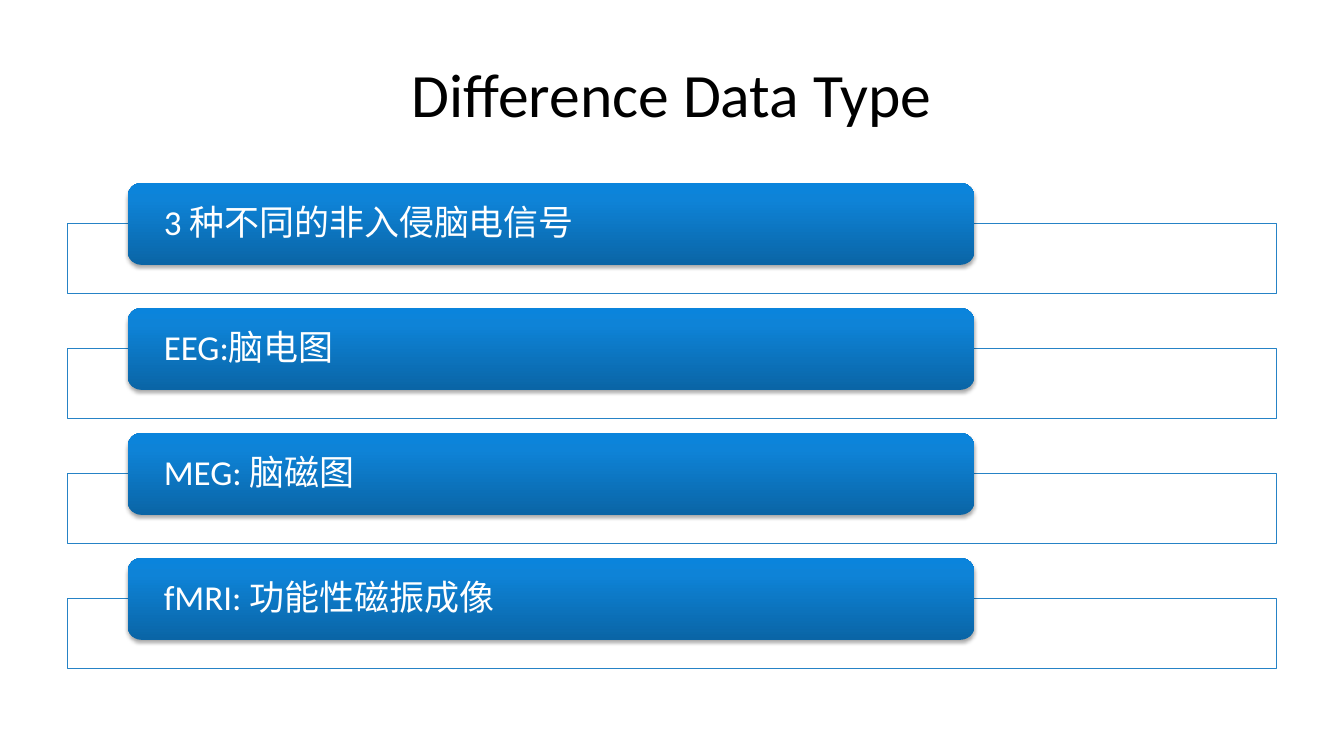
from pptx import Presentation
from pptx.dml.color import RGBColor
from pptx.enum.shapes import MSO_SHAPE
from pptx.enum.text import MSO_ANCHOR, PP_ALIGN
from pptx.oxml import parse_xml
from pptx.oxml.ns import nsdecls
from pptx.util import Pt

TITLE = "Difference Data Type"
SIGNALS = [
    "3 种不同的非入侵脑电信号",
    "EEG:脑电图",
    "MEG: 脑磁图",
    "fMRI: 功能性磁振成像",
]
PANEL_STOPS = [(0, "0A65A6"), (80, "0E83D7"), (100, "0A84DC")]

LEFT, WIDTH = 48, 864
FIRST_TOP, PITCH = 130.8, 89.28
PANEL_INDENT, PANEL_WIDTH, PANEL_HEIGHT = 43.2, 604.8, 58.4
FRAME_DROP, FRAME_HEIGHT = 28.8, 49.9


def color(hex_code):
    return RGBColor.from_string(hex_code)


def write(box, words, size, hex_code, align, inset=7.2):
    frame = box.text_frame
    frame.word_wrap = True
    frame.vertical_anchor = MSO_ANCHOR.MIDDLE
    frame.margin_left = frame.margin_right = Pt(inset)
    frame.margin_top = frame.margin_bottom = Pt(0)
    frame.text = words
    paragraph = frame.paragraphs[0]
    paragraph.alignment = align
    paragraph.line_spacing = 0.9
    font = paragraph.runs[0].font
    font.name, font.size = "Calibri", Pt(size)
    font.color.rgb = color(hex_code)


def add_block(kind, left, top, width, height):
    block = slide.shapes.add_shape(kind, Pt(left), Pt(top), Pt(width), Pt(height))
    block.shadow.inherit = False
    return block


def shade(panel):
    properties = panel.fill._xPr
    panel.fill.background()
    stops = "".join(
        f'<a:gs pos="{place * 1000}"><a:srgbClr val="{hex_code}"/></a:gs>'
        for place, hex_code in PANEL_STOPS
    )
    gradient = parse_xml(
        f'<a:gradFill {nsdecls("a")} rotWithShape="1"><a:gsLst>{stops}</a:gsLst>'
        '<a:lin ang="16200000" scaled="0"/></a:gradFill>'
    )
    properties.replace(properties.find("{*}noFill"), gradient)
    shadow = parse_xml(
        f'<a:outerShdw {nsdecls("a")} blurRad="{Pt(3.1)}" dist="{Pt(1.8)}" '
        'dir="5400000" rotWithShape="0"><a:srgbClr val="000000">'
        '<a:alpha val="35000"/></a:srgbClr></a:outerShdw>'
    )
    properties.find("{*}effectLst").append(shadow)


deck = Presentation()
deck.slide_width, deck.slide_height = Pt(960), Pt(540)
slide = deck.slides.add_slide(deck.slide_layouts[6])

heading = slide.shapes.add_textbox(Pt(LEFT), Pt(21.6), Pt(WIDTH), Pt(90))
write(heading, TITLE, 44, "000000", PP_ALIGN.CENTER)
heading.text_frame.paragraphs[0].line_spacing = 1.0

for index, signal in enumerate(SIGNALS):
    top = FIRST_TOP + index * PITCH
    outline = add_block(MSO_SHAPE.RECTANGLE, LEFT, top + FRAME_DROP, WIDTH, FRAME_HEIGHT)
    outline.fill.solid()
    outline.fill.fore_color.rgb = color("FFFFFF")
    outline.line.color.rgb = color("2683C6")
    outline.line.width = Pt(0.75)

    panel = add_block(
        MSO_SHAPE.ROUNDED_RECTANGLE, LEFT + PANEL_INDENT, top, PANEL_WIDTH, PANEL_HEIGHT
    )
    panel.line.fill.background()
    shade(panel)
    write(panel, signal, 25, "FFFFFF", PP_ALIGN.LEFT, inset=23)

deck.save("out.pptx")
